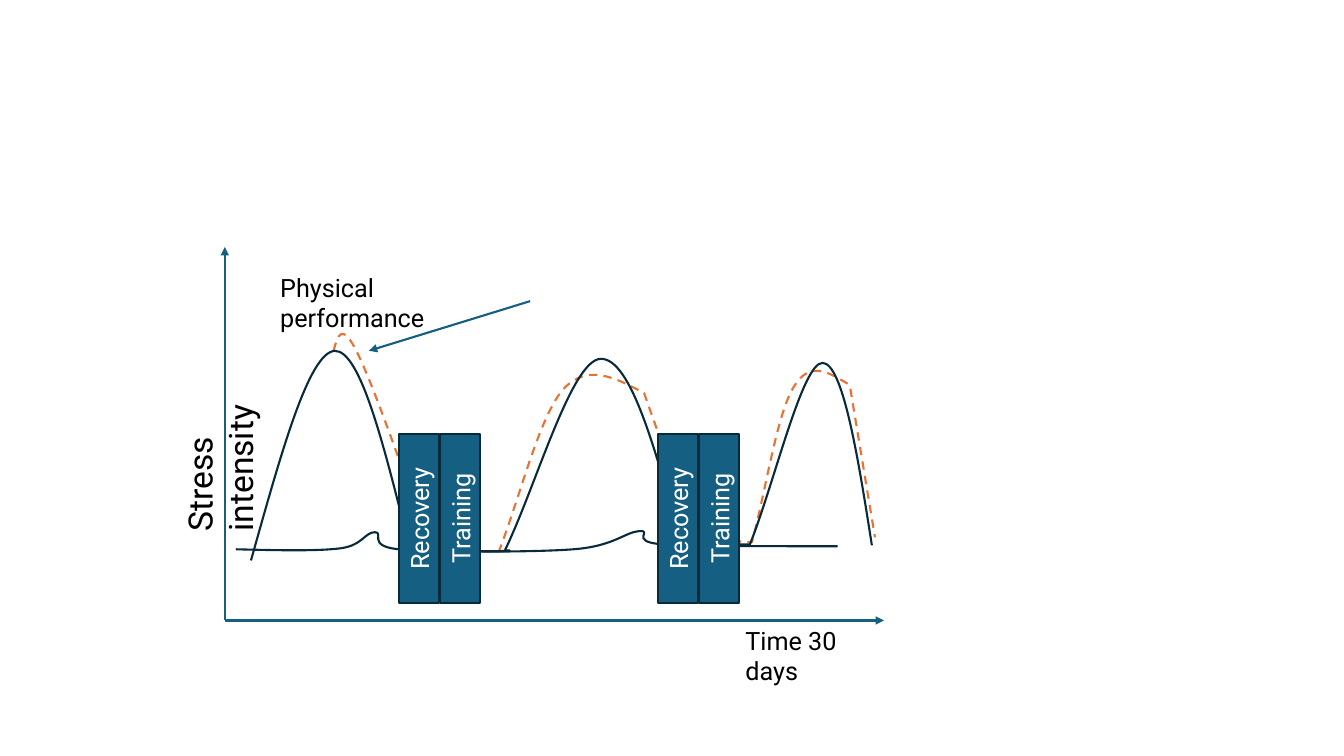
from lxml.etree import SubElement
from pptx import Presentation
from pptx.dml.color import RGBColor
from pptx.enum.dml import MSO_LINE_DASH_STYLE as Dash
from pptx.enum.shapes import MSO_CONNECTOR as Connector, MSO_SHAPE as Shape
from pptx.enum.text import MSO_ANCHOR as Anchor, MSO_AUTO_SIZE as AutoSize, PP_ALIGN as Align
from pptx.oxml.ns import qn
from pptx.util import Pt

NAVY = RGBColor(0x09, 0x2A, 0x39)
TEAL = RGBColor(0x15, 0x60, 0x82)
ORANGE = RGBColor(0xE9, 0x71, 0x32)
BLACK = RGBColor(0, 0, 0)
WHITE = RGBColor(255, 255, 255)
LINE_WIDTH = Pt(1.5)


def write_text(box, text, size=18, color=BLACK, align=Align.LEFT, anchor=Anchor.TOP):
    frame = box.text_frame
    frame.word_wrap = True
    frame.vertical_anchor = anchor
    para = frame.paragraphs[0]
    para.alignment = align
    span = para.add_run()
    span.text = text
    span.font.name = "Roboto"
    span.font.size = Pt(size)
    span.font.color.rgb = color


deck = Presentation()
deck.slide_width, deck.slide_height = Pt(960), Pt(540)
page = deck.slides.add_slide(deck.slide_layouts[6])

# Curves: two numbers start or draw a straight part, six draw a cubic part
performance = [
    (238.3, 250.6),
    (241.2, 239.8, 244.1, 229, 255.6, 252.7), (267.1, 276.5, 288, 335.5, 308.2, 394.6),
    (356.4, 393.8),
    (371.5, 355, 385.2, 297.4, 402.5, 277.9), (419.8, 259.2, 440, 270, 460.1, 280.8),
    (496.8, 384.5), (537.1, 387.4),
    (547.2, 349.9, 555.1, 294.5, 567.4, 275.8), (578.9, 257, 592.6, 266.4, 607, 275),
    (625, 383.8),
]
stress = [
    (179.3, 400.3),
    (200.2, 326.2, 220.3, 252, 239, 250.6), (257.8, 249.8, 275, 321.1, 293, 393.1),
    (355, 393.8), (355, 393.8, 370.8, 393.1, 360.7, 393.1),
    (383, 347, 408.2, 257, 429.1, 256.3), (450.7, 255.6, 468.7, 322.6, 486.7, 388.8),
    (535.7, 388.8),
    (553, 345.6, 573.1, 259.2, 587.5, 259.2), (601.9, 259.2, 612.7, 324.7, 622.8, 389.5),
]
baseline = [
    (168.5, 392.4),
    (197.3, 393.1, 226.8, 393.8, 243.4, 391.7), (259.2, 389.5, 260.6, 380.2, 267.8, 380.2),
    (275, 380.2, 261.4, 390.2, 285.1, 392.4), (308.9, 394.6, 380.9, 394.6, 409.7, 392.4),
    (438.5, 390.2, 446.4, 380.2, 456.5, 379.4), (467.3, 378.7, 448.6, 386.6, 472.3, 388.8),
    (496.1, 390.2, 547.2, 390.2, 598.3, 390.2),
]
for segments, left, top, right, bottom, color, dash in [
    (performance, 238.3, 238.3, 625, 394.6, ORANGE, Dash.DASH),
    (stress, 179.3, 250.6, 622.8, 400.3, NAVY, Dash.SOLID),
    (baseline, 168.5, 379.4, 598.3, 393.8, NAVY, Dash.SOLID),
]:
    # The diagonal sets the frame, then the outline takes its place
    builder = page.shapes.build_freeform(Pt(left), Pt(top))
    builder.add_line_segments([(Pt(right), Pt(bottom))], close=False)
    curve = builder.convert_to_shape()
    outline = next(curve._element.iter(qn("a:path")))
    for part in list(outline):
        outline.remove(part)
    for index, numbers in enumerate(segments):
        kind = "a:cubicBezTo" if len(numbers) == 6 else "a:lnTo" if index else "a:moveTo"
        part = SubElement(outline, qn(kind))
        for x, y in zip(numbers[::2], numbers[1::2]):
            SubElement(part, qn("a:pt"), x=str(Pt(x) - Pt(left)), y=str(Pt(y) - Pt(top)))
    curve.shadow.inherit = False
    curve.fill.background()
    curve.line.color.rgb = color
    curve.line.width = LINE_WIDTH
    curve.line.dash_style = dash

# Axes and pointer
for x1, y1, x2, y2 in [
    (160.56, 443.2, 631.44, 443.2),
    (160.56, 443.2, 160.56, 176.4),
    (378.72, 215.1, 263.52, 250.56),
]:
    arrow = page.shapes.add_connector(Connector.STRAIGHT, Pt(x1), Pt(y1), Pt(x2), Pt(y2))
    arrow.line.color.rgb = TEAL
    arrow.line.width = LINE_WIDTH
    SubElement(arrow.line._get_or_add_ln(), qn("a:tailEnd"), type="triangle")
    SubElement(arrow._element.spPr, qn("a:effectLst"))

# Recovery and training blocks
for pair_left in (238.8, 423.8):
    for index, phase in enumerate(["Recovery", "Training"]):
        block = page.shapes.add_shape(
            Shape.RECTANGLE, Pt(pair_left + index * 29.5), Pt(356.2), Pt(121), Pt(28.4))
        block.rotation = 270
        block.shadow.inherit = False
        block.fill.solid()
        block.fill.fore_color.rgb = TEAL
        block.line.color.rgb = NAVY
        block.line.width = LINE_WIDTH
        write_text(block, phase, color=WHITE, align=Align.CENTER, anchor=Anchor.MIDDLE)

# Labels
for text, left, top, width, height, size, turn in [
    ("Time 30 days", 525.4, 443.2, 115.92, 28.8, 18, 0),
    ("Stress intensity", 55.3, 281.52, 174.24, 36, 24, 270),
    ("Physical performance", 193.1, 190.8, 185.04, 28.8, 18, 0),
]:
    label = page.shapes.add_textbox(Pt(left), Pt(top), Pt(width), Pt(height))
    label.rotation = turn
    label.text_frame.auto_size = AutoSize.SHAPE_TO_FIT_TEXT
    write_text(label, text, size=size)

deck.save("out.pptx")
